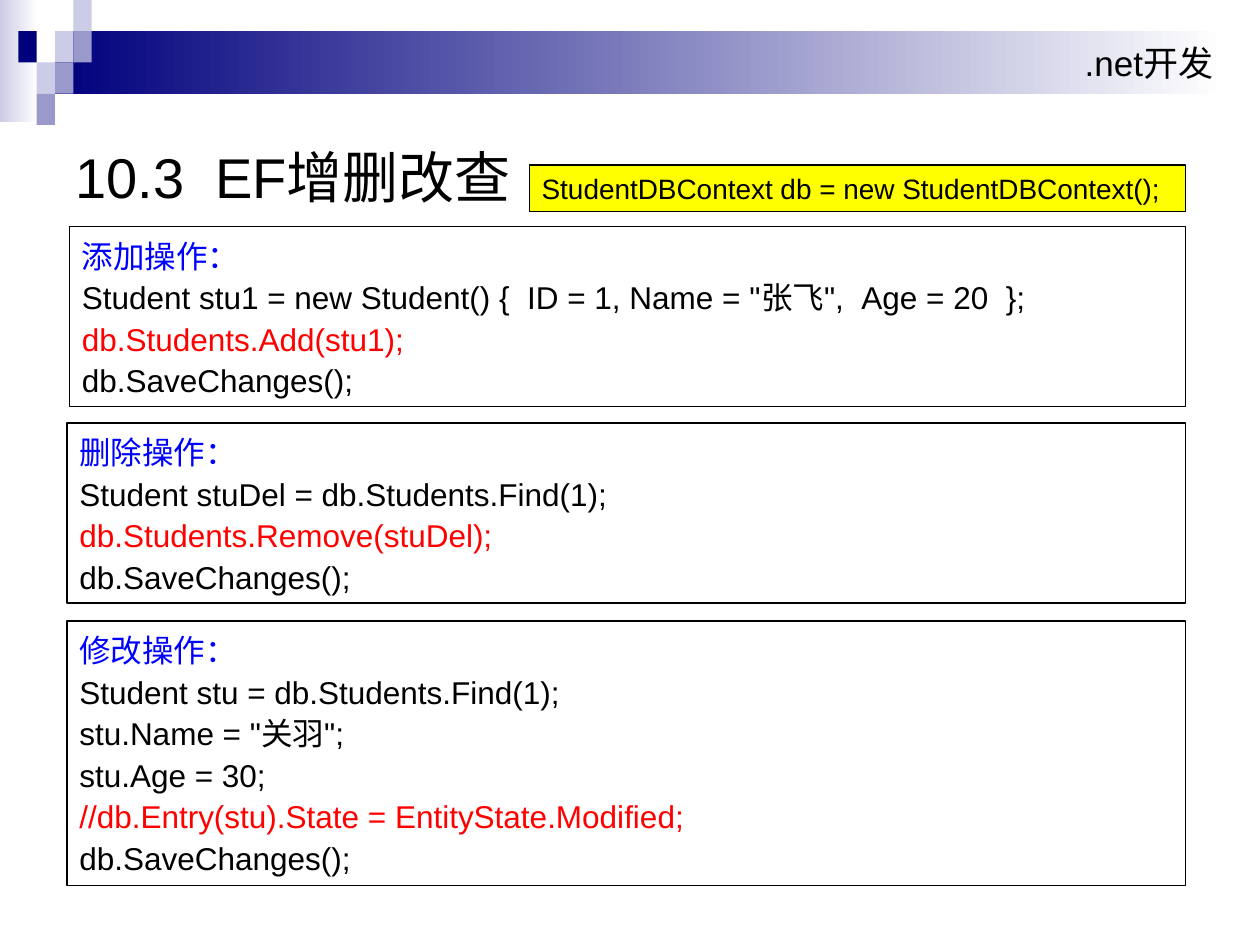
from dataclasses import dataclass

from lxml.etree import SubElement
from pptx import Presentation
from pptx.dml.color import RGBColor as Rgb
from pptx.enum.shapes import MSO_SHAPE as Shape
from pptx.enum.text import MSO_ANCHOR as Anchor, MSO_AUTO_SIZE as AutoSize, PP_ALIGN as Align
from pptx.oxml.ns import qn
from pptx.util import Cm, Pt


@dataclass(frozen=True)
class Theme:
    font: str = "Arial"
    navy: str = "00007D"
    mid: str = "9999CC"
    pale: str = "CCCCE6"
    white: str = "FFFFFF"
    black: str = "000000"
    blue: str = "0000FF"
    red: str = "FF0000"
    yellow: str = "FFFF00"
    title_size: int = 32
    band_size: int = 20
    code_size: int = 18
    note_size: int = 16
    border: float = 0.75


theme = Theme()

# Content
COURSE = ".net开发"
TITLE = "10.3\tEF增删改查"
CONTEXT = "StudentDBContext db = new StudentDBContext();"
# Each operation: left, top, height (cm), lines of (text, colour)
OPERATIONS = [
    (1.4, 4.57, 3.63, [
        ("添加操作：", theme.blue),
        ('Student stu1 = new Student() {  ID = 1, Name = "张飞",  Age = 20  };', theme.black),
        ("db.Students.Add(stu1);", theme.red),
        ("db.SaveChanges();", theme.black),
    ]),
    (1.35, 8.53, 3.63, [
        ("删除操作：", theme.blue),
        ("Student stuDel = db.Students.Find(1);", theme.black),
        ("db.Students.Remove(stuDel);", theme.red),
        ("db.SaveChanges();", theme.black),
    ]),
    (1.35, 12.52, 5.33, [
        ("修改操作：", theme.blue),
        ("Student stu = db.Students.Find(1);", theme.black),
        ('stu.Name = "关羽";', theme.black),
        ("stu.Age = 30;", theme.black),
        ("//db.Entry(stu).State = EntityState.Modified;", theme.red),
        ("db.SaveChanges();", theme.black),
    ]),
]
# Mosaic tiles: column, row, colour
TILES = [
    (3, 1, theme.pale), (4, 0, theme.pale), (4, 1, theme.mid), (2, 2, theme.pale),
    (1, 1, theme.navy), (3, 2, theme.mid), (2, 3, theme.mid),
]
TILE_W, TILE_H = 0.37, 0.63
RIGHT_EDGE = 23.9


def add_box(page, left, top, width, height, fill=None, fade=None, border=None):
    box = page.shapes.add_shape(Shape.RECTANGLE, Cm(left), Cm(top), Cm(width), Cm(height))
    box.shadow.inherit = False
    if fade:
        box.fill.gradient()
        box.fill.gradient_angle = 0
        for stop, position, color in zip(box.fill.gradient_stops, (0, 1), fade):
            stop.position = position
            stop.color.rgb = Rgb.from_string(color)
    elif fill:
        box.fill.solid()
        box.fill.fore_color.rgb = Rgb.from_string(fill)
    else:
        box.fill.background()
    if border:
        box.line.color.rgb = Rgb.from_string(border)
        box.line.width = Pt(theme.border)
    else:
        box.line.fill.background()
    return box


def write(box, lines, size, spacing=None, align=Align.LEFT, anchor=Anchor.TOP,
          tab=None, grow=False):
    frame = box.text_frame
    frame.word_wrap = True
    frame.vertical_anchor = anchor
    frame.auto_size = AutoSize.SHAPE_TO_FIT_TEXT if grow else AutoSize.NONE
    for index, (text, color) in enumerate(lines):
        para = frame.add_paragraph() if index else frame.paragraphs[0]
        para.add_run().text = text
        para.alignment = align
        if spacing:
            para.line_spacing = spacing
        if tab:
            tabs = SubElement(para._p.get_or_add_pPr(), qn("a:tabLst"))
            SubElement(tabs, qn("a:tab"), pos=str(Cm(tab)), algn="l")
        para.font.name = theme.font
        para.font.size = Pt(size)
        para.font.color.rgb = Rgb.from_string(color)


def main():
    deck = Presentation()
    deck.slide_width, deck.slide_height = Cm(25.4), Cm(19.05)
    page = deck.slides.add_slide(deck.slide_layouts[6])

    # Header band and mosaic
    add_box(page, 0, 0, 0.76, 2.46, fade=(theme.pale, theme.white))
    band = add_box(page, 3 * TILE_W, TILE_H, 23.6, 2 * TILE_H, fade=(theme.navy, theme.white))
    write(band, [(COURSE, theme.black)], theme.band_size, align=Align.RIGHT, anchor=Anchor.MIDDLE)
    for column, row, color in TILES:
        add_box(page, column * TILE_W, row * TILE_H, TILE_W, TILE_H, fill=color)

    # Title
    title = page.shapes.add_textbox(Cm(1.27), Cm(2.51), Cm(22.86), Cm(1.8))
    write(title, [(TITLE, theme.black)], theme.title_size, spacing=1.2,
          anchor=Anchor.MIDDLE, tab=2.82)

    # Code blocks
    for left, top, height, lines in OPERATIONS:
        block = add_box(page, left, top, RIGHT_EDGE - left, height, border=theme.black)
        write(block, lines, theme.code_size, spacing=1.1, grow=True)

    # Context note
    left = 10.67
    note = add_box(page, left, 3.33, RIGHT_EDGE - left, 0.94,
                   fill=theme.yellow, border=theme.black)
    write(note, [(CONTEXT, theme.black)], theme.note_size, grow=True)

    deck.save("out.pptx")


if __name__ == "__main__":
    main()
